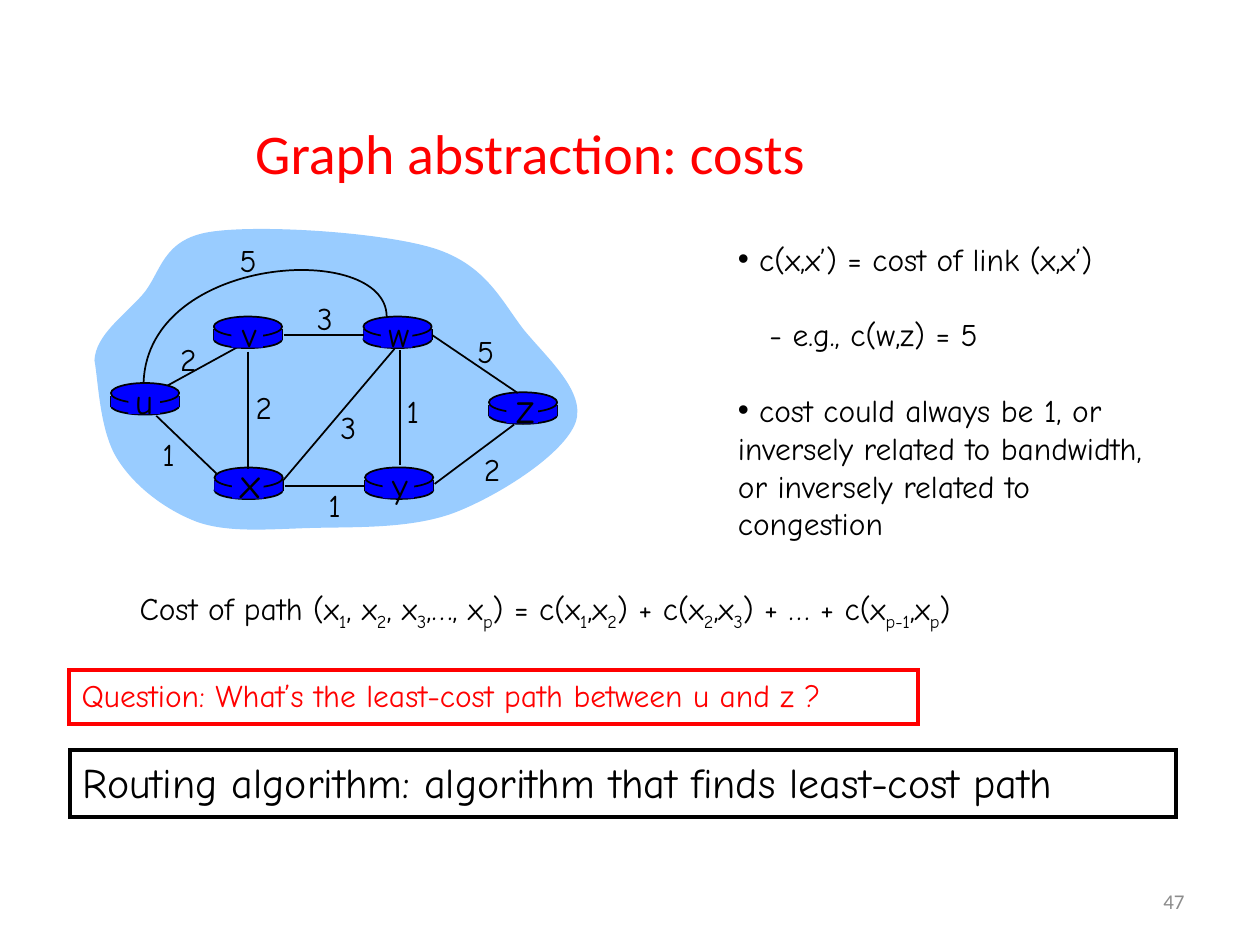
from lxml import etree
from pptx import Presentation
from pptx.dml.color import RGBColor
from pptx.enum.shapes import MSO_CONNECTOR, MSO_SHAPE
from pptx.enum.text import MSO_ANCHOR, PP_ALIGN
from pptx.oxml.ns import qn
from pptx.util import Pt

BLACK = RGBColor(0x00, 0x00, 0x00)
RED = RGBColor(0xFF, 0x00, 0x00)
GREY = RGBColor(0x8C, 0x8C, 0x8C)
ROUTER_BLUE = RGBColor(0x00, 0x00, 0xFF)
CLOUD_BLUE = RGBColor(0x99, 0xCC, 0xFF)
COMIC = "Comic Neue"
ROUTER_W = 39

# Bezier knots and handles, three points per curve after the start
CLOUD = [
    (54, 205.9), (54.7, 191.5), (70.6, 180.7), (81.4, 168.5),
    (92.2, 156.2), (92.2, 136.8), (120.2, 132.5),
    (147.6, 128.2), (217.4, 132.5), (247.7, 141.8),
    (277.9, 151.2), (286.6, 172.1), (299.5, 188.6),
    (313.2, 205.2), (334.8, 223.9), (329, 241.2),
    (322.6, 259.2), (286.6, 282.2), (261.4, 292.3),
    (236.2, 302.4), (203, 301), (177.8, 301.7),
    (153.4, 302.4), (130.3, 304.6), (112.3, 298.1),
    (93.6, 290.9), (76.3, 277.2), (67, 262.1),
    (56.9, 246.2), (56.2, 217.4), (54, 205.9),
]
ARC_U_W = [(221, 180.7), (220.3, 137.5), (85, 145.4), (82.1, 218.2)]

# Name, left, top, letter centre, letter size
ROUTERS = [
    ("u", 63.4, 218.9, 82.4, 20), ("x", 122.6, 267.2, 143.3, 24),
    ("v", 122.2, 180.9, 142.6, 20), ("w", 207.7, 180.9, 227.9, 20),
    ("y", 208.6, 267.1, 228.6, 20), ("z", 279.4, 224.2, 300.2, 24),
]
LINK_U_V = (95.8, 220.3, 139, 196.6)
LINKS = [
    (228.5, 200.2, 228.5, 265.7), (141.8, 200.9, 141.8, 267.8),
    (162, 274.3, 225.4, 199.4), (248.4, 276.5, 293.8, 242.6),
    (162.7, 277.9, 208.8, 277.9), (89.3, 237.6, 123.8, 270.7),
    (162, 191.5, 208.1, 191.5), (247, 191.5, 295.9, 224.6),
]
# Cost, centre, top
COSTS = [
    ("2", 107.6, 190.8), ("2", 150.8, 218.2), ("1", 96.4, 244.8),
    ("3", 199.1, 229.7), ("1", 191.2, 274.3), ("1", 235.9, 220.3),
    ("2", 281.2, 253.4), ("5", 277.6, 186.3), ("3", 185.6, 167.5),
    ("5", 141.9, 133.9),
]
# Text, indent, bulleted, space before
NOTES = [
    ("c(x,x’) = cost of link (x,x’)", 12.2, True, 0),
    ("- e.g., c(w,z) = 5", 18, False, 21.6),
    ("cost could always be 1, or", 12.2, True, 21.6),
    ("inversely related to bandwidth,", 0, False, 0),
    ("or inversely related to", 0, False, 0),
    ("congestion", 0, False, 0),
]
# Subscripts stand between underscores
PATH_COST = ("Cost of path (x_1_, x_2_, x_3_,…, x_p_) = c(x_1_,x_2_)"
             " + c(x_2_,x_3_) + … + c(x_p-1_,x_p_)")


def format_runs(p, size, color=BLACK, name=COMIC):
    for r in p.runs:
        r.font.size, r.font.name = Pt(size), name
        r.font.color.rgb = color


def add_text(shapes, text, x, y, w, h, size, color=BLACK, align=PP_ALIGN.LEFT,
             name=COMIC):
    sp = shapes.add_textbox(Pt(x), Pt(y), Pt(w), Pt(h))
    p = sp.text_frame.paragraphs[0]
    p.text, p.alignment = text, align
    format_runs(p, size, color, name)
    return sp


def add_block(shapes, kind, x, y, w, h, line=True):
    sp = shapes.add_shape(kind, Pt(x), Pt(y), Pt(w), Pt(h))
    sp.shadow.inherit = False
    sp.fill.solid()
    sp.fill.fore_color.rgb = ROUTER_BLUE
    if line:
        sp.line.color.rgb, sp.line.width = BLACK, Pt(1)
    else:
        sp.line.fill.background()


def add_line(shapes, x1, y1, x2, y2):
    cn = shapes.add_connector(MSO_CONNECTOR.STRAIGHT, Pt(x1), Pt(y1), Pt(x2), Pt(y2))
    cn.line.color.rgb, cn.line.width = BLACK, Pt(1)
    etree.SubElement(cn._element.spPr, qn("a:effectLst"))


def add_curve(shapes, knots, close):
    points = [(Pt(x), Pt(y)) for x, y in knots]
    builder = shapes.build_freeform(*points[0])
    builder.add_line_segments(points[1:], close=close)
    sp = builder.convert_to_shape()
    sp.shadow.inherit = False
    # Join every three line segments into one Bezier segment
    segments = list(sp._element.spPr.iter(qn("a:lnTo")))
    for i in range(0, len(segments), 3):
        curve = etree.Element(qn("a:cubicBezTo"))
        segments[i].addprevious(curve)
        for segment in segments[i:i + 3]:
            curve.append(segment[0])
            segment.getparent().remove(segment)
    return sp


def add_router(shapes, x, y):
    add_block(shapes, MSO_SHAPE.OVAL, x, y + 8, ROUTER_W, 10)
    for side in (x, x + ROUTER_W):
        add_line(shapes, side, y + 7.3, side, y + 13.6)
    add_block(shapes, MSO_SHAPE.RECTANGLE, x, y + 7.3, ROUTER_W, 6.3, line=False)
    add_block(shapes, MSO_SHAPE.OVAL, x, y, ROUTER_W, 11.5)


def add_router_name(shapes, name, x, y, centre, size):
    add_block(shapes, MSO_SHAPE.RECTANGLE, x + 10, y + 1.3, 18, 16.5, line=False)
    rise = 5.8 if size == 20 else 9.7
    add_text(shapes, name, centre - 14, y - rise, 28, size * 1.5, size,
             align=PP_ALIGN.CENTER)


def add_graph(slide):
    shapes = slide.shapes.add_group_shape().shapes
    cloud = add_curve(shapes, CLOUD, close=True)
    cloud.fill.solid()
    cloud.fill.fore_color.rgb = CLOUD_BLUE
    cloud.line.fill.background()
    add_line(shapes, *LINK_U_V)
    for _, x, y, _, _ in ROUTERS:
        add_router(shapes, x, y)
    for link in LINKS:
        add_line(shapes, *link)
    arc = add_curve(shapes, ARC_U_W, close=False)
    arc.fill.background()
    arc.line.color.rgb, arc.line.width = BLACK, Pt(1)
    for router in ROUTERS:
        add_router_name(shapes, *router)
    for cost, centre, top in COSTS:
        add_text(shapes, cost, centre - 12.5, top, 25, 29, 18, align=PP_ALIGN.CENTER)


def add_notes(slide):
    tf = slide.shapes.add_textbox(Pt(414.6), Pt(133.5), Pt(276.5), Pt(180)).text_frame
    for i, (text, indent, bullet, before) in enumerate(NOTES):
        p = tf.add_paragraph() if i else tf.paragraphs[0]
        p.text = text
        if before:
            p.space_before = Pt(before)
        pPr = p._p.get_or_add_pPr()
        pPr.set("marL", str(Pt(indent)))
        if bullet:
            pPr.set("indent", str(-Pt(indent)))
            etree.SubElement(pPr, qn("a:buFont")).set("typeface", "Arial")
            etree.SubElement(pPr, qn("a:buChar")).set("char", "•")
        format_runs(p, 18)


def add_path_cost(slide):
    sp = slide.shapes.add_textbox(Pt(72.7), Pt(333), Pt(553), Pt(29))
    p = sp.text_frame.paragraphs[0]
    for i, part in enumerate(PATH_COST.split("_")):
        r = p.add_run()
        r.text = part
        if i % 2:
            r.font._element.set("baseline", "-25000")
    format_runs(p, 18)


def add_framed_text(slide, text, x, y, w, h, size, color):
    sp = add_text(slide.shapes, text, x, y, w, h, size, color)
    sp.line.color.rgb, sp.line.width = color, Pt(2.25)
    etree.SubElement(sp.line._get_or_add_ln(), qn("a:miter")).set("lim", "800000")


def set_title(slide, text):
    sp = slide.shapes.title
    sp.left, sp.top, sp.width, sp.height = Pt(138.6), Pt(64), Pt(332.6), Pt(46)
    tf = sp.text_frame
    tf.text, tf.word_wrap, tf.vertical_anchor = text, False, MSO_ANCHOR.TOP
    p = tf.paragraphs[0]
    p.alignment = PP_ALIGN.LEFT
    format_runs(p, 32, RED, "Calibri")


def main():
    prs = Presentation()
    prs.slide_width, prs.slide_height = Pt(720), Pt(540)
    slide = prs.slides.add_slide(prs.slide_layouts[5])
    set_title(slide, "Graph abstraction: costs")
    add_graph(slide)
    add_notes(slide)
    add_path_cost(slide)
    # Question and answer frames
    add_framed_text(slide, "Question: What’s the least-cost path between u and z ?",
                    39.6, 383, 485, 31, 18, RED)
    add_framed_text(slide, "Routing algorithm: algorithm that finds least-cost path",
                    40.1, 428.6, 632, 38.3, 24, BLACK)
    # Slide number
    number = add_text(slide.shapes, "47", 516, 500.5, 168, 28.75, 12, GREY,
                      PP_ALIGN.RIGHT, "Calibri")
    number.text_frame.vertical_anchor = MSO_ANCHOR.MIDDLE
    prs.save("out.pptx")


if __name__ == "__main__":
    main()
